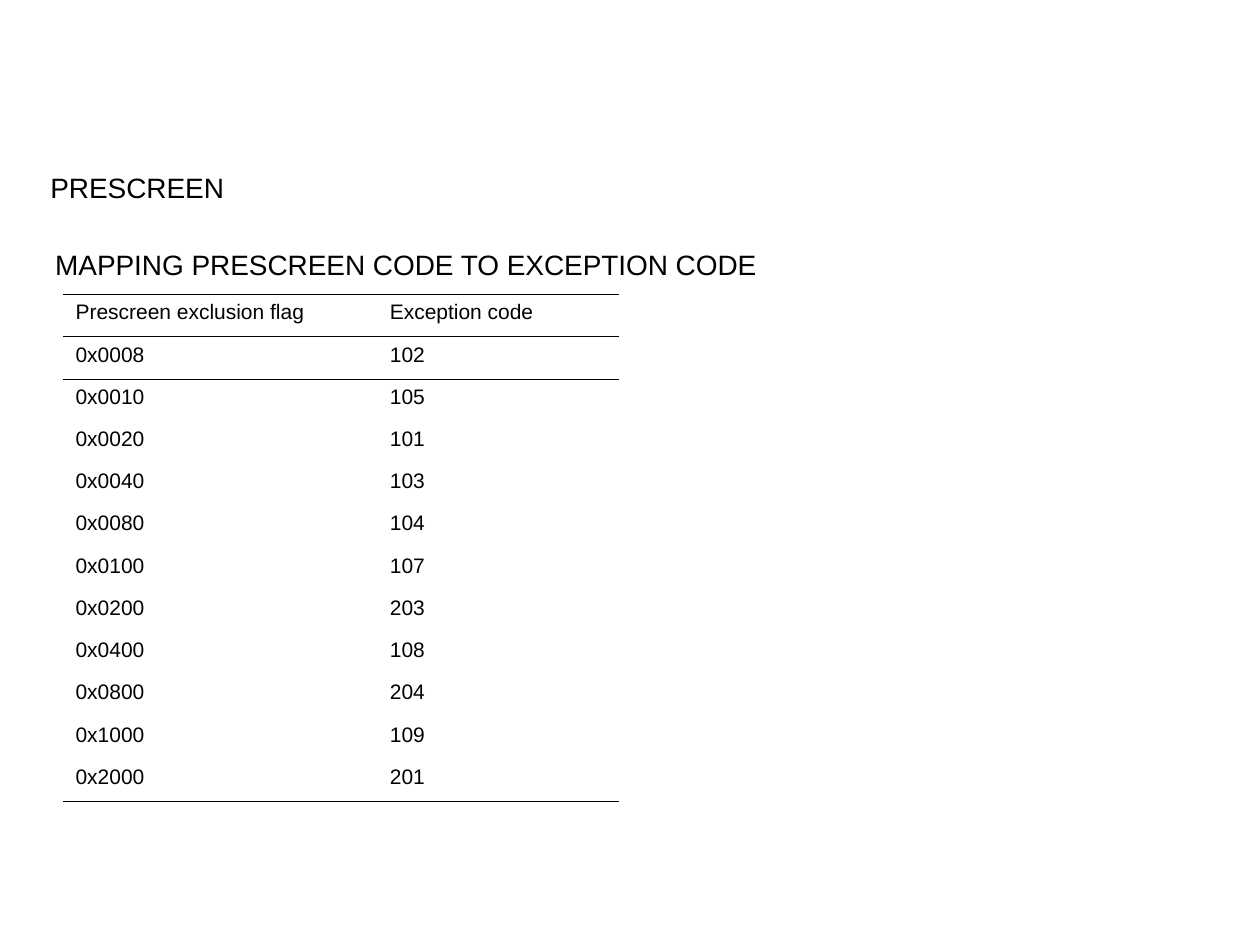
from lxml.etree import SubElement
from pptx import Presentation
from pptx.dml.color import RGBColor
from pptx.enum.text import MSO_ANCHOR as Anchor, MSO_AUTO_SIZE as AutoSize, PP_ALIGN as Align
from pptx.oxml.ns import qn
from pptx.util import Pt

# Content
TITLE = "PRESCREEN"
SUBTITLE = "MAPPING PRESCREEN CODE TO EXCEPTION CODE"
HEADER = ("Prescreen exclusion flag", "Exception code")
EXCEPTION_CODES = [
    ("0x0008", "102"),
    ("0x0010", "105"),
    ("0x0020", "101"),
    ("0x0040", "103"),
    ("0x0080", "104"),
    ("0x0100", "107"),
    ("0x0200", "203"),
    ("0x0400", "108"),
    ("0x0800", "204"),
    ("0x1000", "109"),
    ("0x2000", "201"),
]

# Layout, in points
TITLE_BOX = (21.6, 93.6, 669, 26.6)
SUBTITLE_BOX = (24.5, 138.2, 416, 26.6)
TABLE_LEFT, TABLE_TOP = 36, 168.3
COLUMN_WIDTHS = (179.6, 138.4)
ROW_HEIGHT = 24.13
OUTER_RULE, HEADER_RULE = 0.75, 0.45
BLACK = "000000"
PLAIN_TABLE_STYLE = "{2D5ABB26-0587-4C30-8999-92F81FD0307C}"


def color(hex_string):
    return RGBColor.from_string(hex_string)


def write(frame, text, size=12, font="Arial", ink=BLACK, wrap=True):
    frame.word_wrap = wrap
    frame.vertical_anchor = Anchor.TOP
    paragraph = frame.paragraphs[0]
    paragraph.alignment = Align.LEFT
    run = paragraph.add_run()
    run.text = text
    run.font.size = Pt(size)
    run.font.name = font
    run.font.color.rgb = color(ink)


def place(shape, box):
    shape.left, shape.top, shape.width, shape.height = map(Pt, box)


def add_rule(cell, side, width):
    properties = cell._tc.get_or_add_tcPr()
    line = SubElement(properties, qn(f"a:ln{side}"), w=str(Pt(width)))
    fill = SubElement(line, qn("a:solidFill"))
    SubElement(fill, qn("a:srgbClr"), val=BLACK)


presentation = Presentation()
presentation.slide_width, presentation.slide_height = Pt(720), Pt(540)
slide = presentation.slides.add_slide(presentation.slide_layouts[5])

# Title and subtitle
title = slide.shapes.title
place(title, TITLE_BOX)
title.text_frame.auto_size = AutoSize.NONE
write(title.text_frame, TITLE, size=16)

subtitle = slide.shapes.add_textbox(*map(Pt, SUBTITLE_BOX))
write(subtitle.text_frame, SUBTITLE, size=16, wrap=False)

# Code table with rules around the header and below the last row
rows = [HEADER, *EXCEPTION_CODES]
frame = slide.shapes.add_table(
    len(rows), len(HEADER), Pt(TABLE_LEFT), Pt(TABLE_TOP),
    Pt(sum(COLUMN_WIDTHS)), Pt(ROW_HEIGHT * len(rows)))
table = frame.table
table.horz_banding = False
table._tbl.tblPr.find(qn("a:tableStyleId")).text = PLAIN_TABLE_STYLE
for column, width in zip(table.columns, COLUMN_WIDTHS):
    column.width = Pt(width)

last = len(rows) - 1
top_rules = {0: OUTER_RULE, 1: HEADER_RULE}
bottom_rules = {0: HEADER_RULE, last: OUTER_RULE}
for row_index, values in enumerate(rows):
    table.rows[row_index].height = Pt(ROW_HEIGHT)
    for column_index, value in enumerate(values):
        cell = table.cell(row_index, column_index)
        write(cell.text_frame, value)
        for side, rules in (("T", top_rules), ("B", bottom_rules)):
            if row_index in rules:
                add_rule(cell, side, rules[row_index])
        cell.fill.background()

presentation.save("out.pptx")
